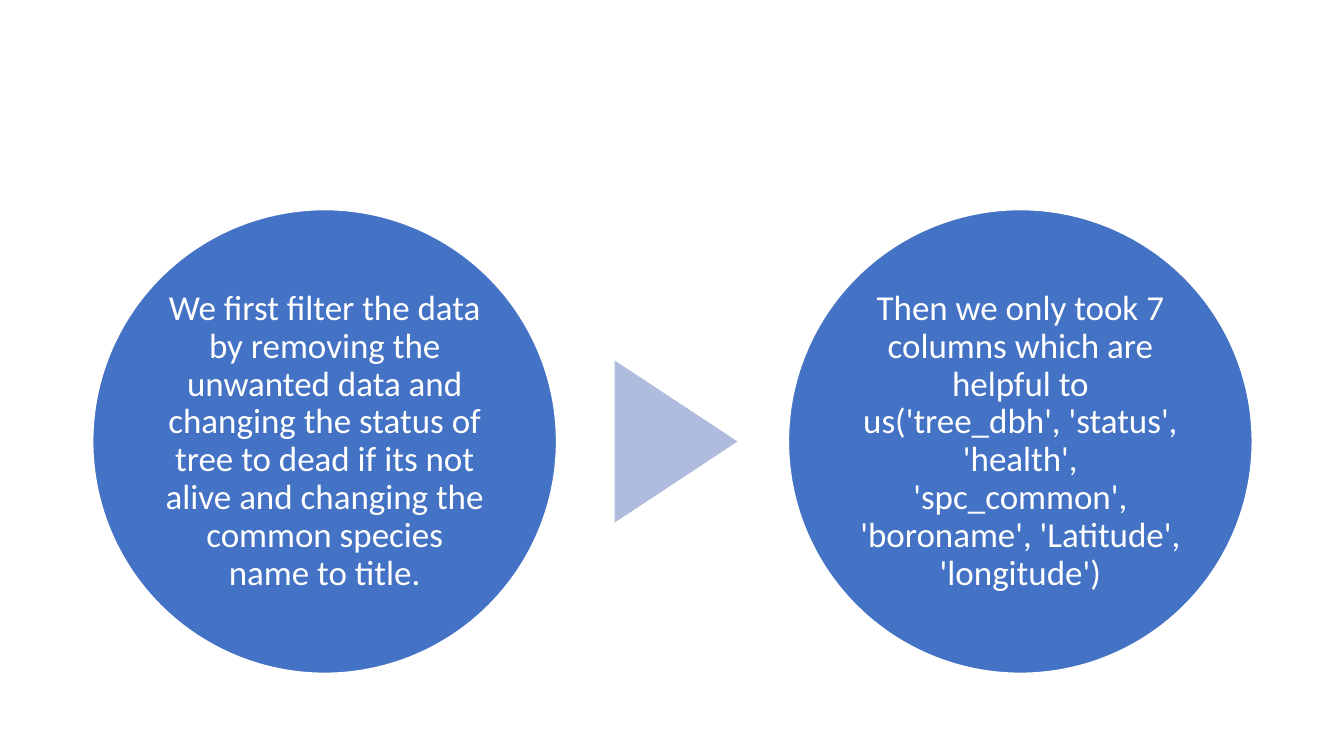
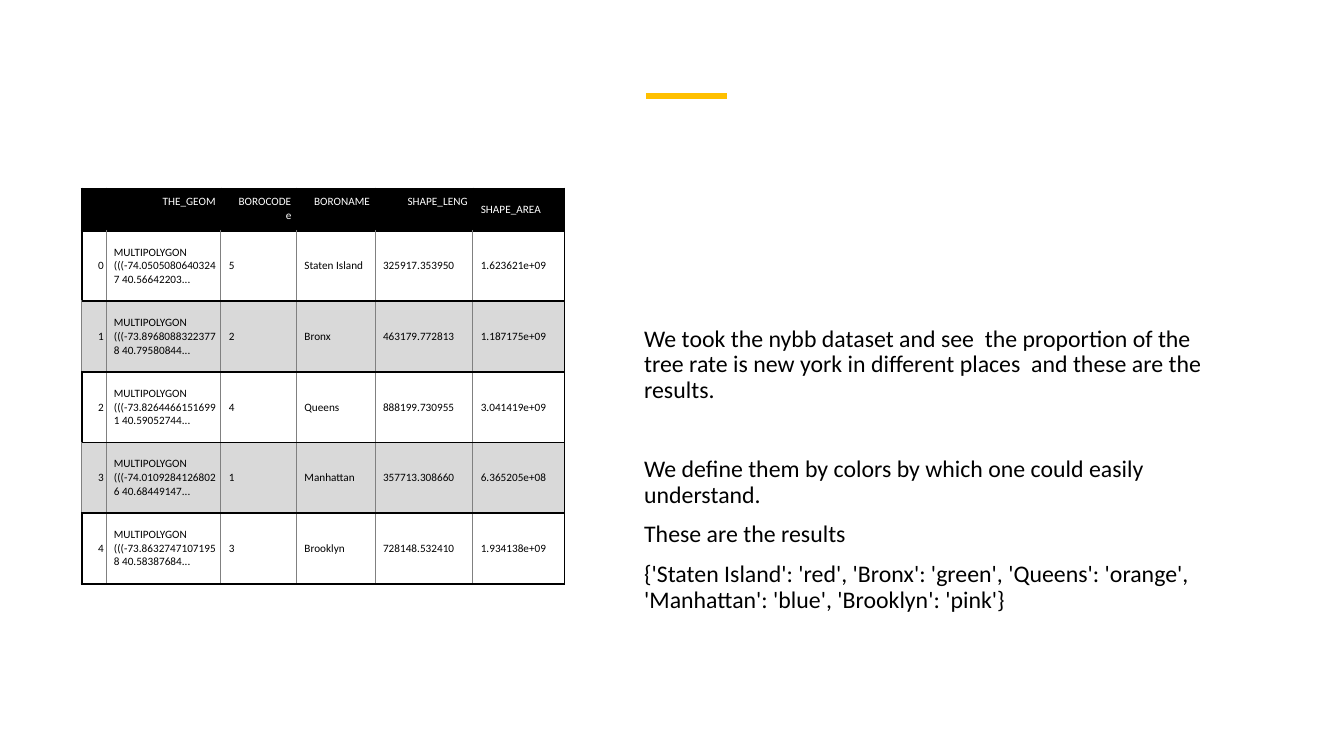
from dataclasses import dataclass

from lxml import etree
from pptx import Presentation
from pptx import util as u
from pptx.dml.color import RGBColor
from pptx.enum import shapes, text
from pptx.oxml.ns import qn

FONT = "Calibri"
BLACK, WHITE, GREY, BAND = "000000", "FFFFFF", "808080", "D9D9D9"
BLUE, PALE_BLUE, GOLD = "4472C4", "B0BCDE", "FFC000"
BLANK_LAYOUT = 6
ALIGN = text.PP_ALIGN
ANCHOR = text.MSO_ANCHOR


@dataclass(frozen=True)
class Step:
    left: float
    words: str


@dataclass(frozen=True)
class Note:
    words: str
    space_before: float = 10


@dataclass(frozen=True)
class Border:
    colour: str
    points: float


HEAVY = Border(BLACK, 1.5)
THIN = Border(GREY, 0.5)

STEPS = (
    Step(0.92, "We first filter the data by removing the unwanted data and changing "
               "the status of tree to dead if its not alive and changing the common "
               "species name to title."),
    Step(7.82, "Then we only took 7 columns which are helpful to us('tree_dbh', "
               "'status', 'health', 'spc_common', 'boroname', 'Latitude', 'longitude')"),
)

NOTES = (
    Note("We took the nybb dataset and see  the proportion of the tree rate is "
         "new york in different places  and these are the results.", 0),
    Note("We define them by colors by which one could easily understand.", 38),
    Note("These are the results"),
    Note("{'Staten Island': 'red', 'Bronx': 'green', 'Queens': 'orange', "
         "'Manhattan': 'blue', 'Brooklyn': 'pink'}"),
)

COLUMN_WIDTHS = (0.24, 1.14, 0.75, 0.78, 0.97, 0.91)
HEADER_HEIGHT, ROW_HEIGHT = 0.42, 0.7
HEADER = ("", "THE_GEOM", "BOROCODE\ne", "BORONAME", "SHAPE_LENG", "SHAPE_AREA")
BOROUGHS = (
    ("-74.05050806403247 40.56642203", "5", "Staten Island", "325917.353950", "1.623621e+09"),
    ("-73.89680883223778 40.79580844", "2", "Bronx", "463179.772813", "1.187175e+09"),
    ("-73.82644661516991 40.59052744", "4", "Queens", "888199.730955", "3.041419e+09"),
    ("-74.01092841268026 40.68449147", "1", "Manhattan", "357713.308660", "6.365205e+08"),
    ("-73.86327471071958 40.58387684", "3", "Brooklyn", "728148.532410", "1.934138e+09"),
)


def rgb(colour: str) -> RGBColor:
    return RGBColor.from_string(colour)


def fill_with(target, colour: str) -> None:
    target.fill.solid()
    target.fill.fore_color.rgb = rgb(colour)


def style_para(para, size: float, colour: str, align=ALIGN.LEFT) -> None:
    para.alignment = align
    for span in para.runs:
        span.font.name = FONT
        span.font.size = u.Pt(size)
        span.font.color.rgb = rgb(colour)


def set_margins(target, left: float, top: float, right: float, bottom: float) -> None:
    target.margin_left, target.margin_top = u.Inches(left), u.Inches(top)
    target.margin_right, target.margin_bottom = u.Inches(right), u.Inches(bottom)


def add_preset(page, preset, left: float, top: float, width: float, height: float,
               colour: str):
    shape = page.shapes.add_shape(preset, u.Inches(left), u.Inches(top),
                                  u.Inches(width), u.Inches(height))
    shape.shadow.inherit = False
    fill_with(shape, colour)
    shape.line.fill.background()
    return shape


def add_step(page, step: Step) -> None:
    circle = add_preset(page, shapes.MSO_SHAPE.OVAL, step.left, 2.08, 4.6, 4.6, BLUE)
    circle.line.color.rgb = rgb(WHITE)
    circle.line.width = u.Pt(1)
    frame = circle.text_frame
    frame.word_wrap = True
    frame.vertical_anchor = ANCHOR.MIDDLE
    set_margins(frame, 0.03, 0.03, 0.03, 0.03)
    frame.text = step.words
    para = frame.paragraphs[0]
    para.line_spacing = 0.9
    style_para(para, 25, WHITE, ALIGN.CENTER)


def add_accent_line(page) -> None:
    y = u.Inches(0.95)
    line = page.shapes.add_connector(shapes.MSO_CONNECTOR.STRAIGHT,
                                     u.Inches(6.41), y, u.Inches(7.21), y)
    line.line.color.rgb = rgb(GOLD)
    line.line.width = u.Pt(4.5)
    etree.SubElement(line._element.spPr, qn("a:effectLst"))


def add_notes(page) -> None:
    box = page.shapes.add_textbox(u.Inches(6.29), u.Inches(3.19),
                                  u.Inches(5.95), u.Inches(3.53))
    frame = box.text_frame
    frame.word_wrap = True
    frame.text = "\n".join(note.words for note in NOTES)
    for para, note in zip(frame.paragraphs, NOTES):
        para.line_spacing = 0.9
        para.space_before = u.Pt(note.space_before)
        style_para(para, 17, BLACK)


def set_borders(cell, left: Border, right: Border) -> None:
    """Draw the cell's sides; top and bottom are always heavy."""
    properties = cell._tc.get_or_add_tcPr()
    sides = (("a:lnL", left), ("a:lnR", right), ("a:lnT", HEAVY), ("a:lnB", HEAVY))
    for position, (tag, border) in enumerate(sides):
        line = etree.Element(qn(tag), w=str(u.Pt(border.points)))
        solid = etree.SubElement(line, qn("a:solidFill"))
        etree.SubElement(solid, qn("a:srgbClr"), val=border.colour)
        properties.insert(position, line)


def fill_cell(cell, words: str, colour: str, background: str, align, anchor,
              margin_right: float) -> None:
    margin_y = 0.06 if words else 0
    set_margins(cell, 0.08, margin_y, margin_right, margin_y)
    cell.vertical_anchor = anchor
    fill_with(cell, background)
    cell.text_frame.text = words
    for para in cell.text_frame.paragraphs:
        style_para(para, 8, colour, align)


def add_borough_table(page) -> None:
    height = HEADER_HEIGHT + ROW_HEIGHT * len(BOROUGHS)
    frame = page.shapes.add_table(len(BOROUGHS) + 1, len(HEADER), u.Inches(0.81),
                                  u.Inches(1.87), u.Inches(sum(COLUMN_WIDTHS)),
                                  u.Inches(height))
    table = frame.table
    table.first_row = table.horz_banding = False
    for column, width in zip(table.columns, COLUMN_WIDTHS):
        column.width = u.Inches(width)
    for index, row in enumerate(table.rows):
        row.height = u.Inches(ROW_HEIGHT if index else HEADER_HEIGHT)
    last = len(HEADER) - 1

    # Header
    for index, label in enumerate(HEADER):
        cell = table.cell(0, index)
        align, anchor = ((ALIGN.LEFT, ANCHOR.MIDDLE) if index == last
                         else (ALIGN.RIGHT, ANCHOR.TOP))
        fill_cell(cell, label, WHITE, BLACK, align, anchor, 0.05)
        set_borders(cell, HEAVY, HEAVY)

    # Numbered rows, every second one banded
    for number, (point, *values) in enumerate(BOROUGHS):
        banded = number % 2 == 1
        row_words = (str(number), f"MULTIPOLYGON ((({point}...", *values)
        for index, words in enumerate(row_words):
            cell = table.cell(number + 1, index)
            fill_cell(cell, words, BLACK, BAND if banded else WHITE,
                      ALIGN.LEFT if index else ALIGN.RIGHT, ANCHOR.MIDDLE, 0.02)
            set_borders(cell, THIN if index or banded else HEAVY,
                        HEAVY if index == last else THIN)


def build_filter_page(page) -> None:
    for step in STEPS:
        add_step(page, step)
    arrow = add_preset(page, shapes.MSO_SHAPE.ISOSCELES_TRIANGLE,
                       5.9, 3.77, 1.61, 1.22, PALE_BLUE)
    arrow.rotation = 90


def build_borough_page(page) -> None:
    add_accent_line(page)
    add_notes(page)
    add_borough_table(page)


def main() -> None:
    deck = Presentation()
    deck.slide_width, deck.slide_height = u.Inches(13.33), u.Inches(7.5)
    for build in (build_filter_page, build_borough_page):
        build(deck.slides.add_slide(deck.slide_layouts[BLANK_LAYOUT]))
    deck.save("out.pptx")


if __name__ == "__main__":
    main()
